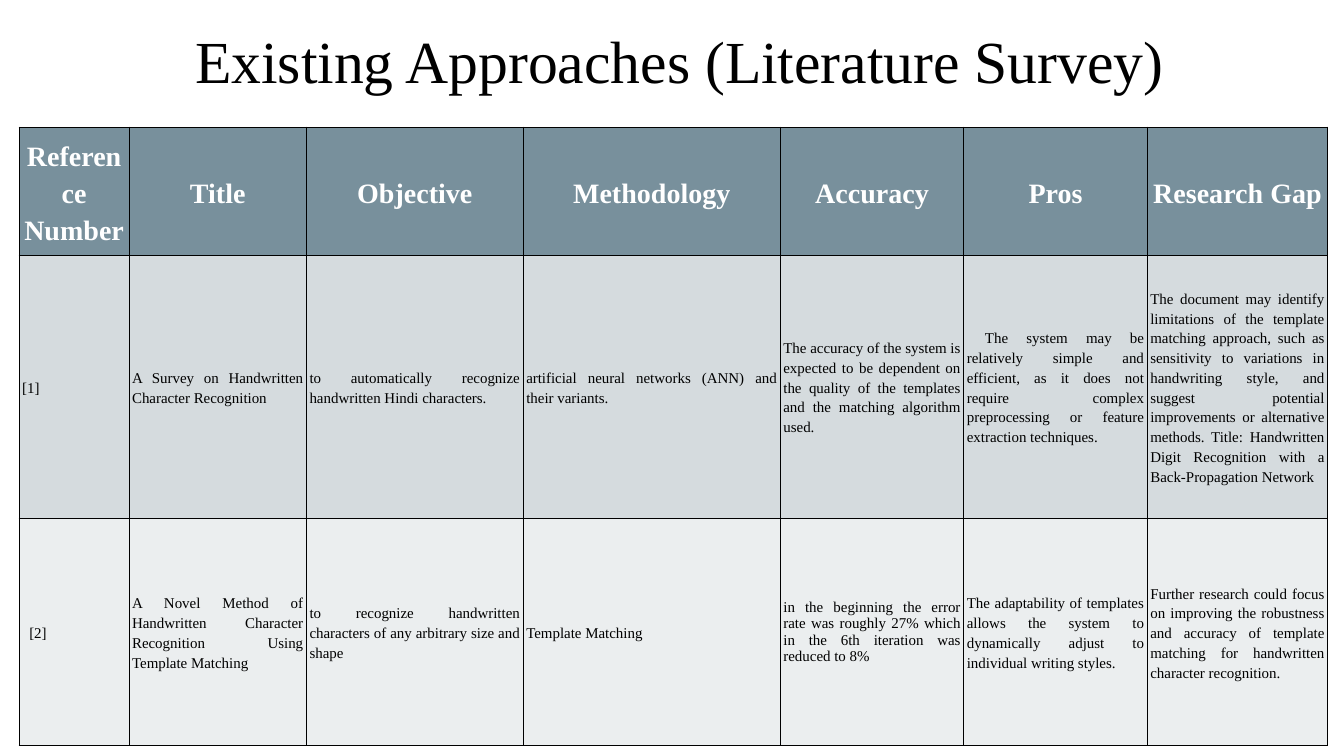
from lxml.etree import SubElement
from pptx import Presentation
from pptx.dml.color import RGBColor
from pptx.enum.text import MSO_ANCHOR, PP_ALIGN
from pptx.oxml import parse_xml
from pptx.oxml.ns import nsdecls, qn
from pptx.util import Inches, Pt

BLACK = RGBColor(0x00, 0x00, 0x00)
WHITE = RGBColor(0xFF, 0xFF, 0xFF)
SLATE = RGBColor(0x78, 0x90, 0x9C)
BANDS = [RGBColor(0xD5, 0xDB, 0xDE), RGBColor(0xEB, 0xEE, 0xEF)]
FONT = "Times New Roman"

COLUMNS = [1.09, 1.76, 2.15, 2.55, 1.82, 1.82, 1.79]
ROWS = [1.27, 2.61, 2.26]
PADDING = 0.03

HEADERS = ["Reference Number", "Title", "Objective", "Methodology",
           "Accuracy", "Pros", "Research Gap"]
SURVEY = [
    ["[1]",
     "A Survey on Handwritten Character Recognition",
     "to automatically recognize handwritten Hindi characters.",
     "artificial neural networks (ANN) and their variants.",
     "The accuracy of the system is expected to be dependent on the quality of "
     "the templates and the matching algorithm used.",
     "The system may be relatively simple and efficient, as it does not require "
     "complex preprocessing or feature extraction techniques.",
     "The document may identify limitations of the template matching approach, "
     "such as sensitivity to variations in handwriting style, and suggest "
     "potential improvements or alternative methods. Title: Handwritten Digit "
     "Recognition with a Back-Propagation Network"],
    ["[2]",
     "A Novel Method of Handwritten Character Recognition Using Template Matching",
     "to recognize handwritten characters of any arbitrary size and shape",
     "Template Matching",
     "in the beginning the error rate was roughly 27% which in the 6th "
     "iteration was reduced to 8%",
     "The adaptability of templates allows the system to dynamically adjust to "
     "individual writing styles.",
     "Further research could focus on improving the robustness and accuracy of "
     "template matching for handwritten character recognition."],
]
INDENTS = {(0, 5): 0.18, (1, 0): 0.07}
SPACINGS = {(1, 4): 1.0}


def write(tf, text, size, color=BLACK, bold=False, align=PP_ALIGN.JUSTIFY,
          spacing=1.2, indent=0):
    """Fill a text frame with one formatted paragraph."""
    tf.word_wrap = True
    p = tf.paragraphs[0]
    p.alignment = align
    p.line_spacing = spacing
    if indent:
        pPr = p._p.get_or_add_pPr()
        pPr.set("marL", "0")
        pPr.set("indent", str(Inches(indent)))
    r = p.add_run()
    r.text = text
    r.font.name = FONT
    r.font.size = Pt(size)
    r.font.bold = bold
    r.font.color.rgb = color


def add_title(s, x, y, w, h):
    """Place the centred slide title in the given box."""
    tf = s.shapes.add_textbox(Inches(x), Inches(y), Inches(w), Inches(h)).text_frame
    tf.margin_left = tf.margin_top = tf.margin_right = tf.margin_bottom = 0
    write(tf, "Existing Approaches (Literature Survey) ", 42.6, align=PP_ALIGN.CENTER)


def style_cell(cell, fill):
    """Give a cell its fill, padding, anchor and thin black borders."""
    cell.fill.solid()
    cell.fill.fore_color.rgb = fill
    cell.vertical_anchor = MSO_ANCHOR.MIDDLE
    cell.margin_left = cell.margin_right = Inches(PADDING)
    cell.margin_top = cell.margin_bottom = Inches(PADDING)
    tcPr = cell._tc.get_or_add_tcPr()
    for i, side in enumerate(["lnL", "lnR", "lnT", "lnB"]):
        ln = parse_xml(f'<a:{side} {nsdecls("a")} w="{Pt(0.75)}"/>')
        color = SubElement(SubElement(ln, qn("a:solidFill")), qn("a:srgbClr"))
        color.set("val", str(BLACK))
        tcPr.insert(i, ln)


def add_survey(s, x, y):
    """Place the literature table with its top left corner at the given point."""
    table = s.shapes.add_table(len(ROWS), len(COLUMNS), Inches(x), Inches(y),
                               Inches(sum(COLUMNS)), Inches(sum(ROWS))).table
    for column, width in zip(table.columns, COLUMNS):
        column.width = Inches(width)
    for row, height in zip(table.rows, ROWS):
        row.height = Inches(height)
    for c, header in enumerate(HEADERS):
        cell = table.cell(0, c)
        style_cell(cell, SLATE)
        write(cell.text_frame, header, 20, WHITE, True, PP_ALIGN.CENTER)
    for r, (entry, band) in enumerate(zip(SURVEY, BANDS)):
        for c, text in enumerate(entry):
            cell = table.cell(r + 1, c)
            style_cell(cell, band)
            write(cell.text_frame, text, 10.7, spacing=SPACINGS.get((r, c), 1.2),
                  indent=INDENTS.get((r, c), 0))


def main():
    """Build the slide and save it."""
    prs = Presentation()
    prs.slide_width, prs.slide_height = Inches(13.33), Inches(7.5)
    s = prs.slides.add_slide(prs.slide_layouts[6])
    add_title(s, 1.87, 0.1, 9.89, 0.86)
    add_survey(s, 0.19, 1.26)
    prs.save("out.pptx")


if __name__ == "__main__":
    main()
